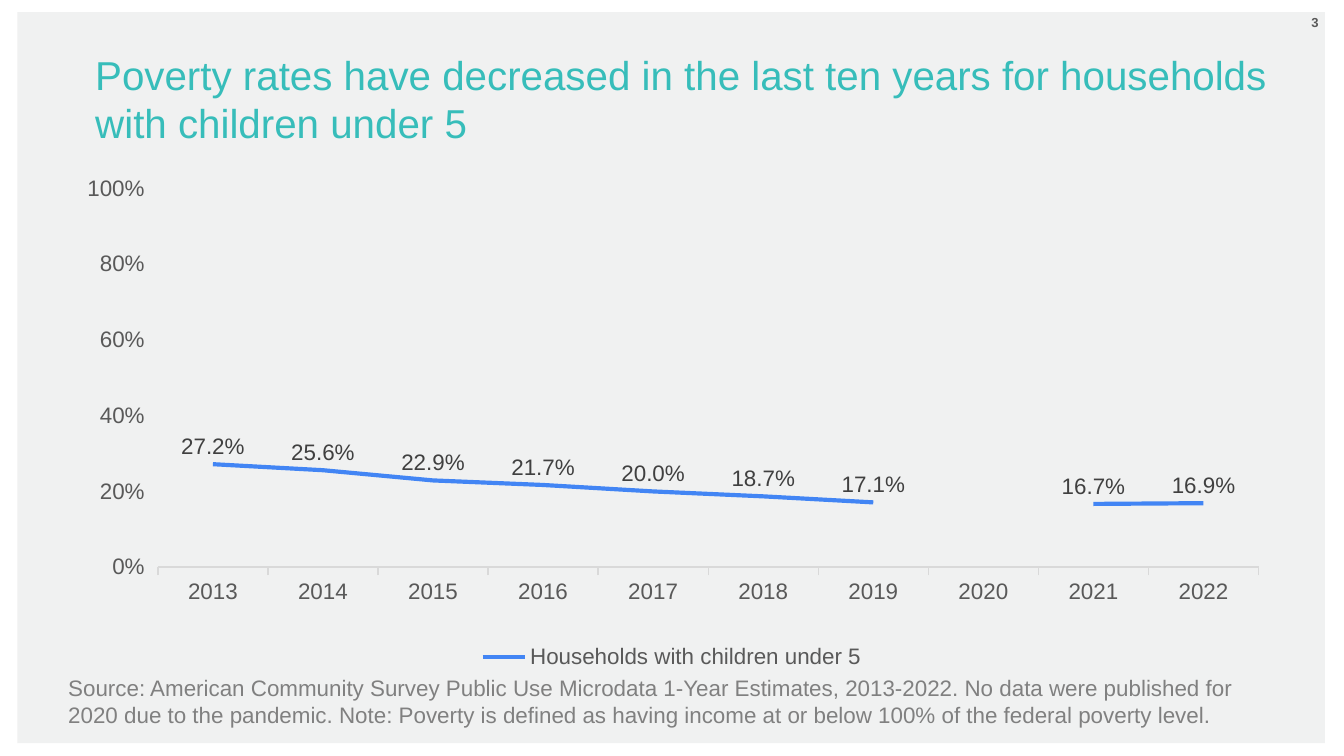
from lxml import etree
from pptx import Presentation
from pptx.chart.data import CategoryChartData
from pptx.dml.color import RGBColor
from pptx.enum.chart import XL_CHART_TYPE as ChartType, XL_LABEL_POSITION as LabelPosition
from pptx.enum.chart import XL_LEGEND_POSITION as LegendPosition, XL_MARKER_STYLE as Marker
from pptx.enum.chart import XL_TICK_MARK as Tick
from pptx.enum.shapes import MSO_SHAPE as Shape
from pptx.enum.text import MSO_ANCHOR as Anchor, PP_ALIGN as Align
from pptx.oxml.ns import qn
from pptx.util import Cm, Pt

PANEL = RGBColor(0xF0, 0xF1, 0xF1)
TEAL = RGBColor(0x37, 0xBD, 0xBA)
BLUE = RGBColor(0x42, 0x85, 0xF4)
BLACK = RGBColor(0x00, 0x00, 0x00)
LABEL_GREY = RGBColor(0x40, 0x40, 0x40)
AXIS_GREY = RGBColor(0x59, 0x59, 0x59)
SOURCE_GREY = RGBColor(0x80, 0x80, 0x80)
RULE_GREY = RGBColor(0xD9, 0xD9, 0xD9)
FONT = "Arial"

TITLE = "Poverty rates have decreased in the last ten years for households with children under 5"
SOURCE = (
    "Source: American Community Survey Public Use Microdata 1-Year Estimates, 2013-2022. "
    "No data were published for 2020 due to the pandemic. Note: Poverty is defined as having "
    "income at or below 100% of the federal poverty level."
)
SERIES = "Households with children under 5"
FIRST_YEAR = 2013
RATES = [0.272, 0.256, 0.229, 0.217, 0.2, 0.187, 0.171, None, 0.167, 0.169]
PLOT_AREA = {"x": 0.075, "y": 0.025, "w": 0.91, "h": 0.76}


def to_lengths(box):
    """Turn left, top, width and height in centimetres into lengths."""
    return [Cm(value) for value in box]


def style_font(font, size, color, bold=False):
    """Set the typeface, size, colour and weight of a font."""
    font.name, font.size, font.bold = FONT, Pt(size), bold
    font.color.rgb = color


def add_panel(page, box):
    """Draw the grey panel behind the content."""
    panel = page.shapes.add_shape(Shape.RECTANGLE, *to_lengths(box))
    panel.shadow.inherit = False
    panel.fill.solid()
    panel.fill.fore_color.rgb = PANEL
    panel.line.fill.background()


def add_text(page, box, text, size, color, bold=False, align=Align.LEFT, anchor=Anchor.TOP, inset=0.25):
    """Place one wrapped paragraph in the given box."""
    frame = page.shapes.add_textbox(*to_lengths(box)).text_frame
    frame.word_wrap = True
    frame.vertical_anchor = anchor
    frame.margin_left = frame.margin_right = Cm(0.25)
    frame.margin_top = frame.margin_bottom = Cm(inset)
    para = frame.paragraphs[0]
    para.alignment = align
    span = para.add_run()
    span.text = text
    style_font(span.font, size, color, bold)


def set_plot_area(chart):
    """Fix the inner plot area as fractions of the chart."""
    area = chart.element.find(".//" + qn("c:plotArea"))
    for old in area.findall(qn("c:layout")):
        area.remove(old)
    layout = etree.Element(qn("c:layout"))
    manual = etree.SubElement(layout, qn("c:manualLayout"))
    settings = {"layoutTarget": "inner", "xMode": "edge", "yMode": "edge", **PLOT_AREA}
    for name, value in settings.items():
        etree.SubElement(manual, qn(f"c:{name}")).set("val", str(value))
    area.insert(0, layout)


def style_axes(chart):
    """Format the year axis and the percentage axis."""
    years, rates = chart.category_axis, chart.value_axis
    for axis in (years, rates):
        axis.has_major_gridlines = False
        axis.major_tick_mark = Tick.OUTSIDE
        axis.minor_tick_mark = Tick.NONE
        style_font(axis.tick_labels.font, 12, AXIS_GREY)
    years.format.line.color.rgb = RULE_GREY
    years.format.line.width = Pt(0.75)
    rates.format.line.fill.background()
    rates.minimum_scale, rates.maximum_scale, rates.major_unit = 0, 1, 0.2
    rates.tick_labels.number_format = "0%"
    rates.tick_labels.number_format_is_linked = False


def style_series(series):
    """Format the poverty line and its value labels."""
    series.smooth = False
    series.marker.style = Marker.NONE
    series.format.line.color.rgb = BLUE
    series.format.line.width = Pt(2.25)
    labels = series.data_labels
    labels.show_value = True
    labels.position = LabelPosition.ABOVE
    labels.number_format = "0.0%"
    labels.number_format_is_linked = False
    style_font(labels.font, 12, LABEL_GREY)


def add_poverty_chart(page, box):
    """Place the line chart of poverty rates by year."""
    data = CategoryChartData(number_format="0.0%")
    data.categories = [str(FIRST_YEAR + index) for index in range(len(RATES))]
    data.add_series(SERIES, RATES)
    chart = page.shapes.add_chart(ChartType.LINE, *to_lengths(box), data).chart
    style_font(chart.font, 10, BLACK)
    chart.has_title = False
    chart.has_legend = True
    chart.legend.position = LegendPosition.BOTTOM
    chart.legend.include_in_layout = False
    style_font(chart.legend.font, 12, AXIS_GREY)
    chart.plots[0].vary_by_categories = False
    set_plot_area(chart)
    style_axes(chart)
    style_series(chart.plots[0].series[0])


def build_poverty_slide(page):
    """Place all parts of the poverty slide."""
    add_panel(page, (0.33, 0.23, 24.71, 13.82))
    add_text(page, (23.65, 0.13, 1.52, 1.09), "3", 7, AXIS_GREY, bold=True, align=Align.RIGHT)
    add_text(page, (1.55, 0.66, 23.09, 2.41), TITLE, 21.6, TEAL, anchor=Anchor.MIDDLE)
    add_poverty_chart(page, (1.27, 3.33, 22.86, 9.42))
    add_text(page, (1.04, 12.62, 23.09, 1.27), SOURCE, 12, SOURCE_GREY, inset=0.13)


def main():
    """Build and save the deck."""
    deck = Presentation()
    deck.slide_width, deck.slide_height = Cm(25.4), Cm(14.29)
    build_poverty_slide(deck.slides.add_slide(deck.slide_layouts[6]))
    deck.save("out.pptx")


if __name__ == "__main__":
    main()
